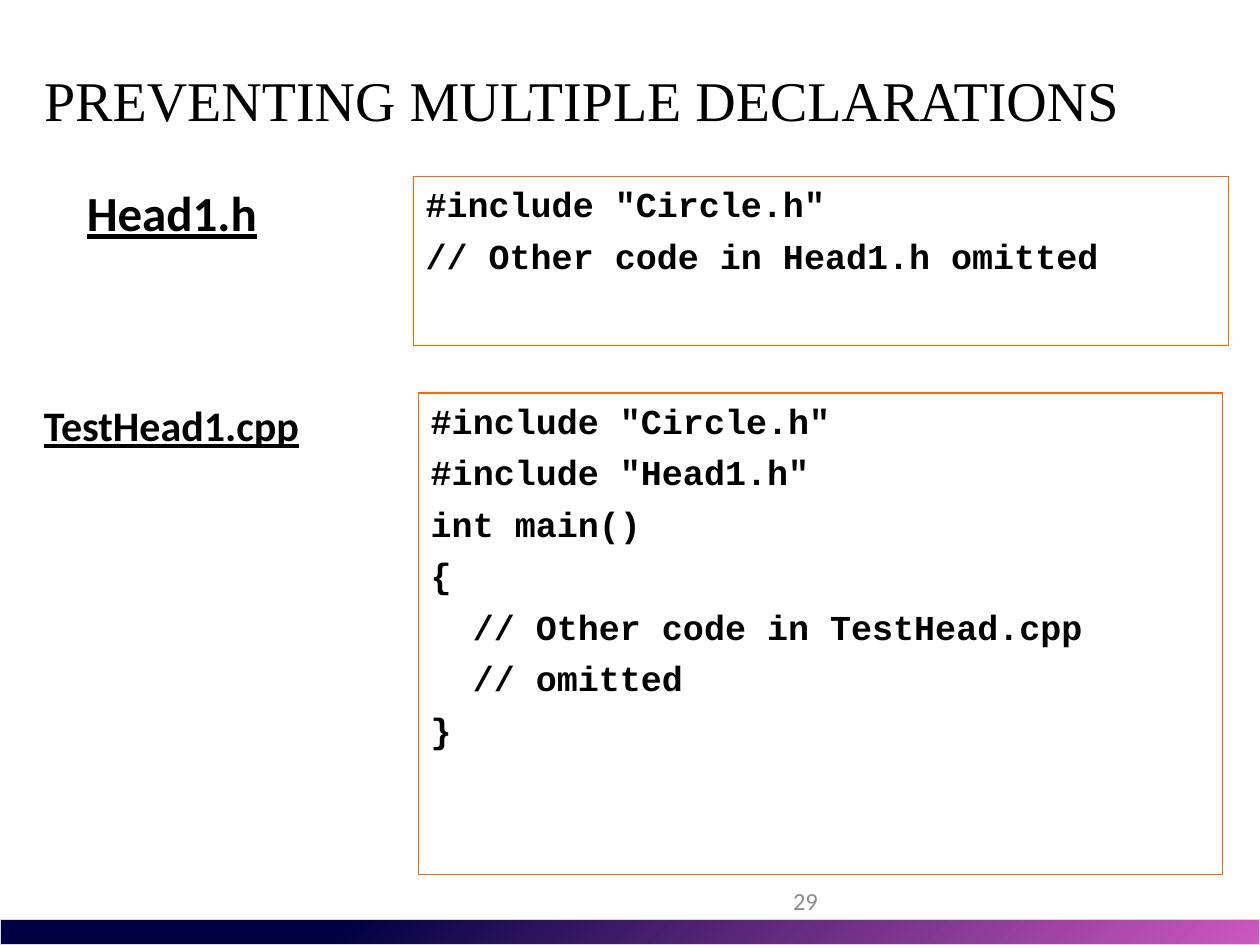
from pptx import Presentation
from pptx.dml.color import RGBColor
from pptx.enum.shapes import MSO_SHAPE
from pptx.enum.text import MSO_ANCHOR, PP_ALIGN
from pptx.util import Inches, Pt

BLACK = RGBColor(0x00, 0x00, 0x00)
GRAY = RGBColor(0x8C, 0x8C, 0x8C)
SILVER = RGBColor(0xD8, 0xD8, 0xD8)
ORANGE = RGBColor(0xFF, 0x66, 0x00)
NAVY = RGBColor(0x00, 0x00, 0x44)
PINK = RGBColor(0xCE, 0x57, 0xC1)

HEADER_CODE = """#include "Circle.h"
// Other code in Head1.h omitted"""

TEST_CODE = """#include "Circle.h"
#include "Head1.h"
int main()
{
  // Other code in TestHead.cpp
  // omitted
}"""


def write_text(shape, text, size, font="Calibri", color=BLACK, bold=False,
               underline=False, align=PP_ALIGN.LEFT, anchor=MSO_ANCHOR.TOP,
               spacing=0.0):
    frame = shape.text_frame
    frame.word_wrap = True
    frame.vertical_anchor = anchor
    for index, line in enumerate(text.split("\n")):
        paragraph = frame.add_paragraph() if index else frame.paragraphs[0]
        paragraph.alignment = align
        paragraph.space_before = Pt(round(size * spacing, 1))
        run = paragraph.add_run()
        run.text = line
        run.font.size = Pt(size)
        run.font.name = font
        run.font.bold = bold
        run.font.underline = underline
        run.font.color.rgb = color


class SlideBuilder:
    line_width = Pt(0.75)
    paragraph_spacing = 0.27

    def __init__(self, slide):
        self.slide = slide

    def rectangle(self, left, top, width, height, line_color):
        shape = self.slide.shapes.add_shape(
            MSO_SHAPE.RECTANGLE, Inches(left), Inches(top), Inches(width), Inches(height))
        shape.shadow.inherit = False
        shape.fill.background()
        shape.line.color.rgb = line_color
        shape.line.width = self.line_width
        return shape

    def footer_bar(self):
        bar = self.rectangle(0, 7.3, 10, 0.2, SILVER)
        bar.rotation = 180
        bar.fill.gradient()
        bar.fill.gradient_angle = 135
        for stop, position, color in zip(bar.fill.gradient_stops, (0.27, 1), (NAVY, PINK)):
            stop.position = position
            stop.color.rgb = color

    def title(self, text):
        title = self.slide.shapes.title
        title.left, title.top = Inches(0.25), Inches(0.22)
        title.width, title.height = Inches(9.16), Inches(1.13)
        write_text(title, text, 32, font="Times New Roman", anchor=MSO_ANCHOR.MIDDLE)

    def text_box(self, text, left, top, width, height, size, **style):
        box = self.slide.shapes.add_textbox(
            Inches(left), Inches(top), Inches(width), Inches(height))
        write_text(box, text, size, **style)

    def file_label(self, text, left, top, width, height, size):
        self.text_box(text, left, top, width, height, size, bold=True,
                      underline=True, spacing=self.paragraph_spacing)

    def code_box(self, code, left, top, width, height):
        box = self.rectangle(left, top, width, height, ORANGE)
        write_text(box, code, 20, font="Courier New", bold=True,
                   spacing=self.paragraph_spacing)


def main():
    presentation = Presentation()
    presentation.slide_width = Inches(10)
    presentation.slide_height = Inches(7.5)
    slide = presentation.slides.add_slide(presentation.slide_layouts[5])
    builder = SlideBuilder(slide)
    builder.footer_bar()
    builder.text_box("29", 3.42, 6.95, 3.17, 0.4, 14, color=GRAY,
                     align=PP_ALIGN.RIGHT, anchor=MSO_ANCHOR.MIDDLE)
    builder.title("PREVENTING MULTIPLE DECLARATIONS")
    builder.code_box(HEADER_CODE, 3.28, 1.4, 6.47, 1.34)
    builder.code_box(TEST_CODE, 3.32, 3.12, 6.38, 3.82)
    builder.file_label("Head1.h", 0.59, 1.4, 1.89, 0.71, 28)
    builder.file_label("TestHead1.cpp", 0.25, 3.12, 2.73, 0.63, 24)
    presentation.save("out.pptx")


if __name__ == "__main__":
    main()
